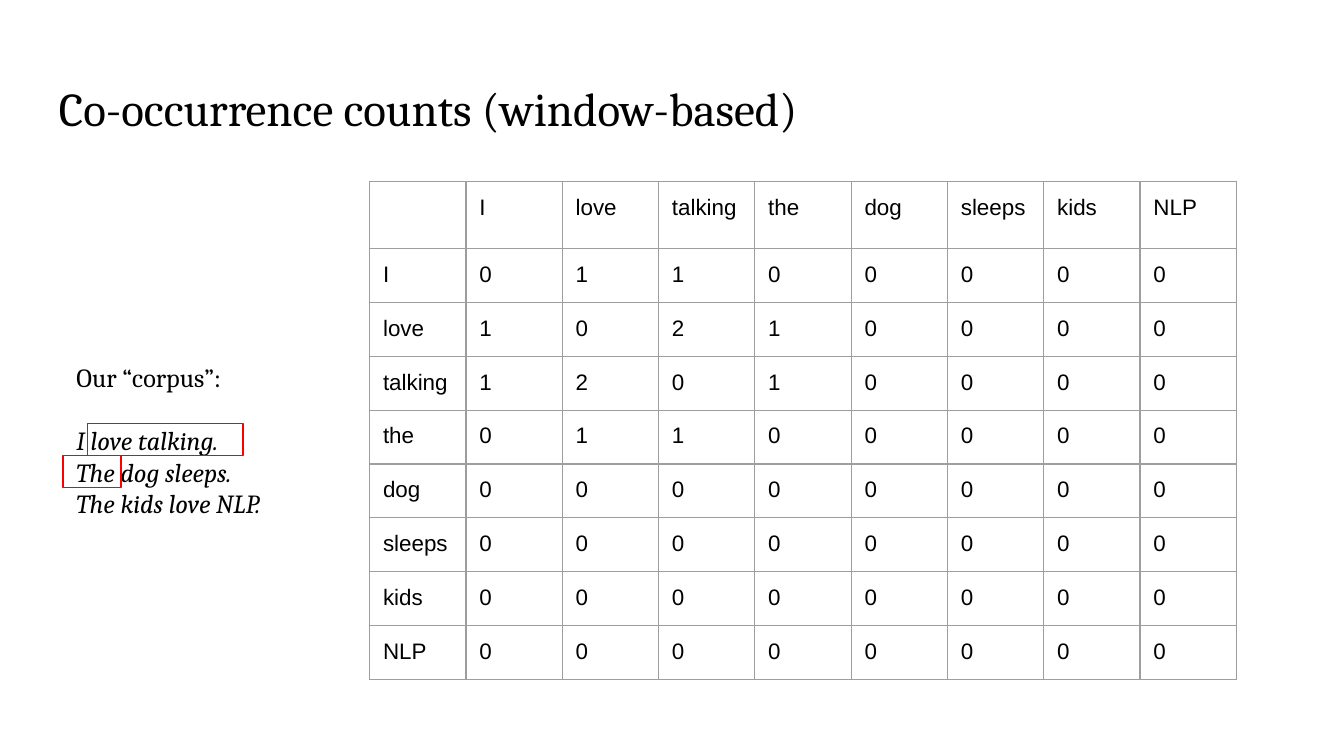
from lxml import etree
from pptx import Presentation
from pptx import util as u
from pptx.dml.color import RGBColor
from pptx.enum import shapes, text
from pptx.oxml.ns import qn

COLORS = {"ink": "000000", "grid": "9E9E9E", "window": "FF0000"}
HEADING = "Co-occurrence counts (window-based)"
CORPUS_LABEL = "Our “corpus”:"
SENTENCES = ["I love talking.", "The dog sleeps.", "The kids love NLP."]
WORDS = ["I", "love", "talking", "the", "dog", "sleeps", "kids", "NLP"]
PAIR_COUNTS = {
    ("I", "love"): 1,
    ("I", "talking"): 1,
    ("love", "talking"): 2,
    ("love", "the"): 1,
    ("talking", "the"): 1,
}
WINDOW_BOXES = [(0.65, 3.15, 1.16, 0.24), (0.47, 3.39, 0.43, 0.24)]
SLIDE_WIDTH = 10
SLIDE_HEIGHT = SLIDE_WIDTH * 9 / 16
MATRIX_PLACE = (2.75, 1.35, 3.28, 3.28)
MATRIX_WIDTH = 6.45
HEADER_HEIGHT, ROW_HEIGHT = 0.44, 0.37
INSET = u.Inches(0.1)


def inches(*lengths):
    return [u.Inches(length) for length in lengths]


def set_insets(target):
    target.margin_left = target.margin_right = INSET
    target.margin_top = target.margin_bottom = INSET


def add_run(paragraph, words, font, size, italic=False):
    run = paragraph.add_run()
    run.text = words
    run.font.name = font
    run.font.size = u.Pt(size)
    run.font.italic = italic
    run.font.color.rgb = RGBColor.from_string(COLORS["ink"])


def add_text_frame(slide, place):
    frame = slide.shapes.add_textbox(*inches(*place)).text_frame
    frame.word_wrap = True
    frame.vertical_anchor = text.MSO_ANCHOR.TOP
    set_insets(frame)
    return frame


def add_borders(cell):
    properties = cell._tc.get_or_add_tcPr()
    for position, side in enumerate(("a:lnL", "a:lnR", "a:lnT", "a:lnB")):
        line = etree.Element(qn(side), w=str(u.Pt(0.75)))
        fill = etree.SubElement(line, qn("a:solidFill"))
        etree.SubElement(fill, qn("a:srgbClr"), val=COLORS["grid"])
        properties.insert(position, line)


def add_counts(slide):
    rows = [[""] + WORDS]
    for word in WORDS:
        counts = [PAIR_COUNTS.get((word, other), PAIR_COUNTS.get((other, word), 0))
                  for other in WORDS]
        rows.append([word] + [str(count) for count in counts])
    size = len(rows)
    place = inches(*MATRIX_PLACE)
    holder = slide.shapes.add_table(size, size, *place)
    matrix = holder.table
    matrix.first_row = matrix.horz_banding = False
    for column in matrix.columns:
        column.width = u.Inches(MATRIX_WIDTH / size)
    for index, values in enumerate(rows):
        matrix.rows[index].height = u.Inches(ROW_HEIGHT if index else HEADER_HEIGHT)
        for column, value in enumerate(values):
            cell = matrix.cell(index, column)
            set_insets(cell)
            cell.fill.background()
            add_borders(cell)
            if value:
                add_run(cell.text_frame.paragraphs[0], value, "Arial", 12)
    holder.width, holder.height = place[2:]


def main():
    deck = Presentation()
    deck.slide_width, deck.slide_height = inches(SLIDE_WIDTH, SLIDE_HEIGHT)
    slide = deck.slides.add_slide(deck.slide_layouts[6])

    heading = add_text_frame(slide, (0.34, 0.49, 9.32, 0.63))
    add_run(heading.paragraphs[0], HEADING, "Cambria", 25.2)

    corpus = add_text_frame(slide, (0.47, 2.59, 1.94, 1.59))
    add_run(corpus.paragraphs[0], CORPUS_LABEL, "Cambria", 14)
    corpus.paragraphs[0].space_after = u.Pt(17)
    for sentence in SENTENCES:
        add_run(corpus.add_paragraph(), sentence, "Cambria", 14, italic=True)

    add_counts(slide)

    for place in WINDOW_BOXES:
        window = slide.shapes.add_shape(shapes.MSO_SHAPE.RECTANGLE, *inches(*place))
        window.shadow.inherit = False
        window.fill.background()
        window.line.color.rgb = RGBColor.from_string(COLORS["window"])
        window.line.width = u.Pt(0.75)

    deck.save("out.pptx")


if __name__ == "__main__":
    main()
